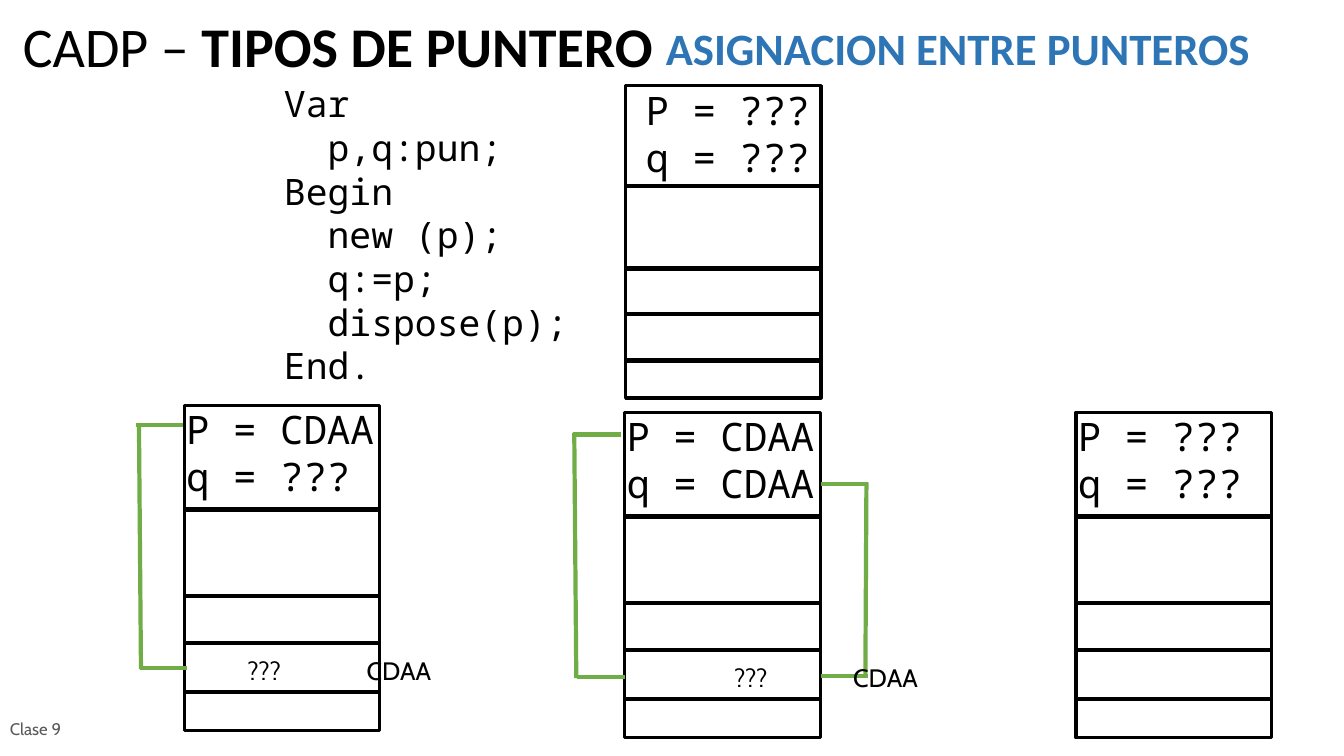
from dataclasses import dataclass

from lxml import etree
from pptx import Presentation, util as u
from pptx.dml.color import RGBColor
from pptx.enum import shapes, text
from pptx.oxml.ns import qn

COLORS = {"black": "000000", "blue": "2E75B6", "green": "70AD47", "grey": "595959"}
MONO, SANS, LABEL = "Noto Sans Mono", "Calibri", "Cabin"

# Grid: 100 columns by 100 rows over the slide
WIDTH, HEIGHT = u.Inches(13.34), u.Inches(7.5)
MEMORY_WIDTH = 14.54
DIVIDERS = (0.32, 0.585, 0.73, 0.88)
STUB = 3.52
ADDRESS_TAB = 8.85

CODE = """Var
  p,q:pun;
Begin
  new (p);
  q:=p;
  dispose(p);
End."""


@dataclass(frozen=True)
class Style:
    size: int
    font: str
    color: str = "black"
    bold: bool = False


@dataclass(frozen=True)
class Bracket:
    """Two stubs, given by their left ends, joined by a spine."""
    top: tuple[float, float]
    bottom: tuple[float, float]
    spine: tuple[float, float]


@dataclass(frozen=True)
class Memory:
    col: float
    row: float
    rows: float
    variables: tuple[str, str]
    indent: float = -0.6
    brackets: tuple[Bracket, ...] = ()
    cell: tuple[float, float] | None = None


MEMORIES = (
    Memory(46.55, 11.33, 41.33, ("P = ???", "q = ???"), indent=0.75),
    Memory(13.72, 53.6, 43.07, ("P = CDAA", "q = ???"),
           brackets=(Bracket((10.12, 56.27), (10.42, 88.4), (10.34, 10.49)),),
           cell=(17.69, 86)),
    Memory(80.06, 54.53, 43.07, ("P = ???", "q = ???")),
    Memory(46.48, 54.53, 43.07, ("P = CDAA", "q = CDAA"),
           brackets=(Bracket((42.65, 57.47), (42.95, 89.6), (42.73, 42.88)),
                     Bracket((61.09, 64), (61.09, 89.47), (64.47, 64.39))),
           cell=(53.9, 86.93)),
)


def x(cols: float) -> int:
    return round(WIDTH * cols / 100)


def y(rows: float) -> int:
    return round(HEIGHT * rows / 100)


def rgb(name: str) -> RGBColor:
    return RGBColor.from_string(COLORS[name])


def add_text(parent, place: tuple[float, float, float, float], lines: list[str],
             style: Style, wrap: bool = True, tab: float = 0):
    col, row, cols, rows = place
    box = parent.add_textbox(x(col), y(row), x(cols), y(rows))
    frame = box.text_frame
    frame.word_wrap = wrap
    frame.text = "\n".join(lines)
    for para in frame.paragraphs:
        if tab:
            stops = etree.SubElement(para._p.get_or_add_pPr(), qn("a:tabLst"))
            etree.SubElement(stops, qn("a:tab"), pos=str(x(tab)), algn="l")
        para.font.size = u.Pt(style.size)
        para.font.name = style.font
        para.font.bold = style.bold
        para.font.color.rgb = rgb(style.color)
    return box


def add_line(parent, start: tuple[float, float], end: tuple[float, float],
             color: str) -> None:
    line = parent.add_connector(shapes.MSO_CONNECTOR.STRAIGHT,
                                x(start[0]), y(start[1]), x(end[0]), y(end[1]))
    line.line.color.rgb = rgb(color)
    line.line.width = u.Pt(3)
    etree.SubElement(line._element.spPr, qn("a:effectLst"))


def add_bracket(parent, bracket: Bracket) -> None:
    for col, row in (bracket.top, bracket.bottom):
        add_line(parent, (col, row), (col + STUB, row), "green")
    add_line(parent, (bracket.spine[0], bracket.top[1] - 0.2),
             (bracket.spine[1], bracket.bottom[1] + 0.1), "green")


def add_memory(page, memory: Memory) -> None:
    group = page.shapes.add_group_shape().shapes
    frame = group.add_shape(shapes.MSO_SHAPE.RECTANGLE, x(memory.col), y(memory.row),
                            x(MEMORY_WIDTH), y(memory.rows))
    frame.shadow.inherit = False
    frame.fill.background()
    frame.line.color.rgb = rgb("black")
    frame.line.width = u.Pt(2.25)
    for share in DIVIDERS:
        row = memory.row + share * memory.rows
        add_line(group, (memory.col, row), (memory.col + MEMORY_WIDTH, row), "black")
    # Text width follows the longest line of fixed-width letters
    cols = 1.5 + 1.75 * max(map(len, memory.variables))
    add_text(group, (memory.col + memory.indent, memory.row - 0.6, cols, 13.87),
             list(memory.variables), Style(28, MONO), wrap=False)
    for bracket in memory.brackets:
        add_bracket(group, bracket)
    if memory.cell:
        add_text(group, (*memory.cell, 16.19, 5.33), ["???\tCDAA"],
                 Style(18, LABEL), tab=ADDRESS_TAB)


def main() -> None:
    deck = Presentation()
    deck.slide_width, deck.slide_height = WIDTH, HEIGHT
    page = deck.slides.add_slide(deck.slide_layouts[6])

    # Footer
    footer = add_text(page.shapes, (0, 93.6, 8.02, 5.73), ["Clase 9"],
                      Style(12, LABEL, "grey"))
    footer.text_frame.vertical_anchor = text.MSO_ANCHOR.MIDDLE

    # Title and subtitle
    title = add_text(page.shapes, (0.97, 1.87, 76.16, 10.13), ["CADP – "], Style(40, SANS))
    para = title.text_frame.paragraphs[0]
    para.line_spacing = 0.9
    span = para.add_run()
    span.text = "TIPOS DE PUNTERO"
    span.font.bold = True
    subtitle = add_text(page.shapes, (48.8, 2.13, 46.03, 8.53),
                        ["ASIGNACION ENTRE PUNTEROS"], Style(32, SANS, "blue", True))
    subtitle.text_frame.paragraphs[0].alignment = text.PP_ALIGN.JUSTIFY

    # Program
    add_text(page.shapes, (20.39, 10.13, 22.71, 41.73), CODE.split("\n"),
             Style(26, MONO), wrap=False)

    # Memory states
    for memory in MEMORIES:
        add_memory(page, memory)

    deck.save("out.pptx")


if __name__ == "__main__":
    main()
